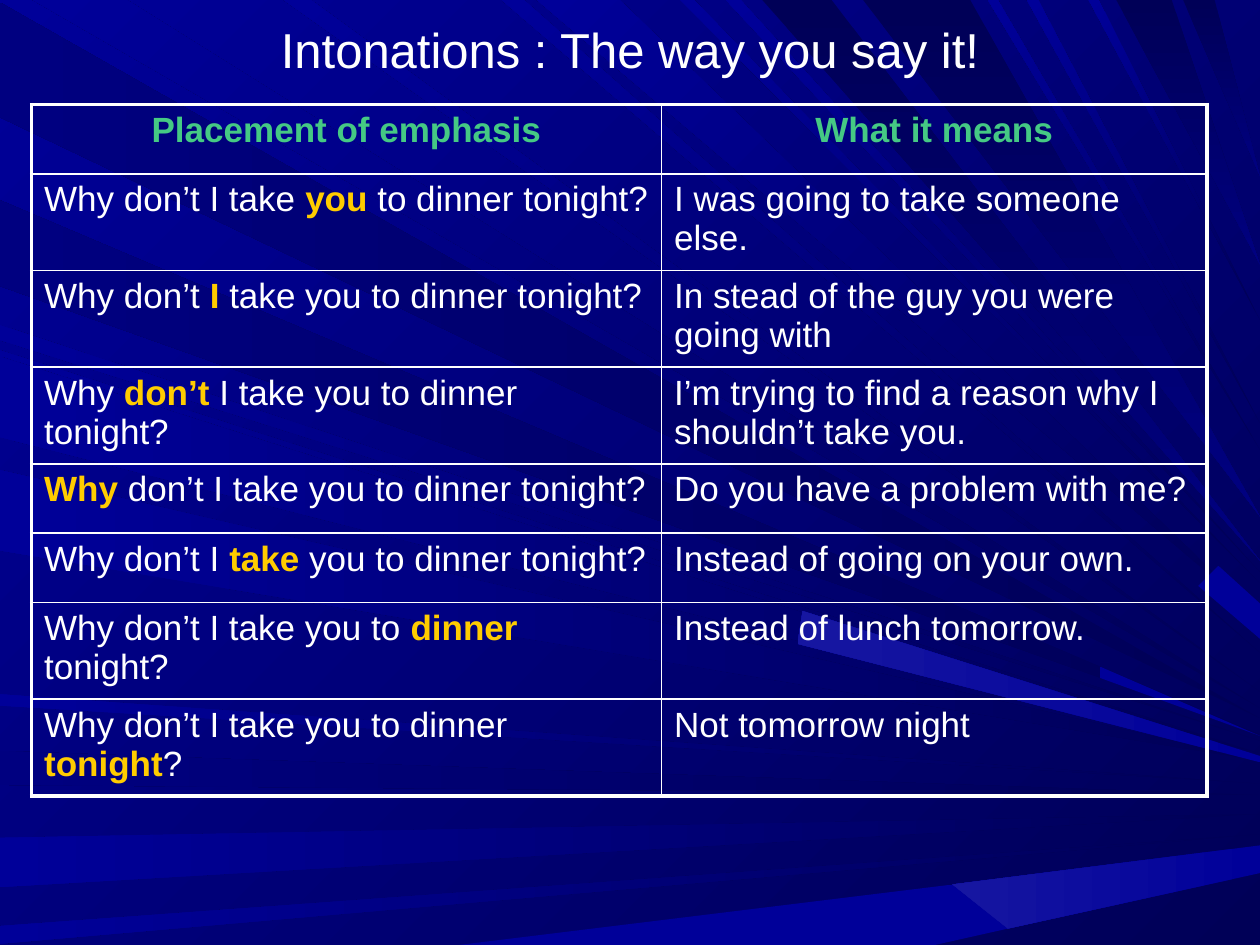
from dataclasses import dataclass

from lxml.etree import SubElement
from pptx import Presentation
from pptx.dml.color import RGBColor
from pptx.enum.text import MSO_ANCHOR, PP_ALIGN
from pptx.oxml.ns import qn
from pptx.util import Inches, Pt


@dataclass(frozen=True)
class Theme:
    font: str = "Arial"
    title_size: int = 28
    body_size: int = 20
    outer_line: float = 2.25
    inner_line: float = 1
    text: str = "FFFFFF"
    header: str = "45C984"
    emphasis: str = "FFCC00"
    glint: str = "1616A1"
    bright: str = "000099"
    middle: str = "000080"
    dark: str = "000057"


theme = Theme()


def write(tf, text, size=theme.body_size, color=theme.text, bold=False, align=PP_ALIGN.LEFT):
    """Write one paragraph; pieces between asterisks are emphasised."""
    p = tf.paragraphs[0]
    p.alignment = align
    for i, piece in enumerate(text.split("*")):
        if not piece:
            continue
        stressed = i % 2 == 1
        r = p.add_run()
        r.text = piece
        r.font.name = theme.font
        r.font.size = Pt(size)
        r.font.bold = bold or stressed
        r.font.color.rgb = RGBColor.from_string(theme.emphasis if stressed else color)


def paint(fill, start, end, angle):
    """Fill with a gradient at a clockwise angle."""
    fill.gradient()
    fill.gradient_angle = 360 - angle
    for stop, color in zip(fill.gradient_stops, (start, end)):
        stop.color.rgb = RGBColor.from_string(color)


prs = Presentation()
prs.slide_width, prs.slide_height = Inches(10), Inches(7.5)
s = prs.slides.add_slide(prs.slide_layouts[6])
paint(s.background.fill, theme.dark, theme.bright, 225)

# Background rays: each runs from a stretch of the left or top edge
# to one height on the right edge (from, to, height at the right)
left_dim = [(0.02, 0.93, 5.7), (5.96, 6.23, 6.31), (1.59, 2.27, 5.83)]
left_bright = [
    (6.65, 7.04, 6.46), (7.35, 7.49, 6.62), (2.58, 2.7, 5.88),
    (2.78, 3.42, 5.98), (3.73, 4.37, 6.04), (5.51, 5.6, 6.22), (2.83, 3.47, 6.02),
]
top_bright = [
    (0.26, 1.01, 5.62), (3.98, 4.16, 5.18), (4.26, 4.92, 4.9), (5.4, 5.51, 4.63),
    (2.25, 2.47, 5.49), (5.76, 5.88, 4.54), (7.84, 7.92, 3.57), (8.15, 8.24, 3.36),
    (8.64, 8.72, 2.54),
]
top_dim = [(6.05, 6.6, 4.45), (8.86, 9.3, 2.1), (9.39, 9.64, 1.4), (6.85, 7.7, 4.1)]
shapes = []
for rays, on_left, end, angle in (
    (left_dim, True, theme.middle, 180),
    (top_bright, False, theme.bright, 225),
    (top_dim, False, theme.middle, 90),
    (left_bright, True, theme.bright, 180),
):
    for a, b, tip in rays:
        base = [(0, a), (0, b)] if on_left else [(a, 0), (b, 0)]
        shapes.append((theme.dark, end, angle, base + [(10, tip)]))

# Lighter glints on the right
glints = [
    (theme.bright, [(3.64, 7.5), (7.56, 7.02), (8, 7.37), (7.42, 7.5)]),
    (theme.glint, [(7.56, 7.02), (10, 6.71), (10, 6.93), (8, 7.37)]),
    (theme.glint, [(6.37, 4.85), (10, 6), (10, 6.05), (6.33, 5.11)]),
    (theme.bright, [(9.67, 4.49), (10, 4.79), (10, 5.07), (9.51, 4.65)]),
    (theme.bright, [(8.73, 5.29), (10, 5.84), (8.73, 5.38)]),
]
shapes += [(theme.bright, end, 180, corners) for end, corners in glints]

for start, end, angle, corners in shapes:
    first, *others = [(Inches(x), Inches(y)) for x, y in corners]
    builder = s.shapes.build_freeform(*first)
    builder.add_line_segments(others, close=True)
    sp = builder.convert_to_shape()
    sp.shadow.inherit = False
    sp.line.fill.background()
    paint(sp.fill, start, end, angle)

# Title
title = s.shapes.add_textbox(Inches(0.5), Inches(0.08), Inches(9), Inches(0.61))
title.text_frame.word_wrap = True
title.text_frame.vertical_anchor = MSO_ANCHOR.MIDDLE
write(title.text_frame, "Intonations : The way you say it!", size=theme.title_size, align=PP_ALIGN.CENTER)

# Table
rows = [
    ("Placement of emphasis", "What it means"),
    ("Why don’t I take *you* to dinner tonight?", "I was going to take someone else."),
    ("Why don’t *I *take you to dinner tonight?", "In stead of the guy you were going with"),
    ("Why *don’t* I take you to dinner tonight?", "I’m trying to find a reason why I shouldn’t take you."),
    ("*Why* don’t I take you to dinner tonight?", "Do you have a problem with me?"),
    ("Why don’t I *take* you to dinner tonight?", "Instead of going on your own."),
    ("Why don’t I take you to *dinner* tonight?", "Instead of lunch tomorrow."),
    ("Why don’t I take you to dinner *tonight*?", "Not tomorrow night"),
]
one_line_rows = (0, 4, 5)
width, height = Inches(9.33), Inches(5.48)
short = Inches(0.55)
tall = (height - len(one_line_rows) * short) // (len(rows) - len(one_line_rows))
table = s.shapes.add_table(len(rows), 2, Inches(0.25), Inches(0.83), width, height).table
table.first_row = table.horz_banding = False
table.columns[0].width = Inches(5)
table.columns[1].width = width - Inches(5)

for i, texts in enumerate(rows):
    table.rows[i].height = short if i in one_line_rows else tall
    for j, text in enumerate(texts):
        cell = table.cell(i, j)
        tcPr = cell._tc.get_or_add_tcPr()
        on_outside = {"lnL": j == 0, "lnR": j == 1, "lnT": i == 0, "lnB": i == len(rows) - 1}
        for side, outer in on_outside.items():
            weight = theme.outer_line if outer else theme.inner_line
            ln = SubElement(tcPr, qn(f"a:{side}"), w=str(Pt(weight)))
            SubElement(SubElement(ln, qn("a:solidFill")), qn("a:srgbClr"), val=theme.text)
        cell.fill.background()
        cell.margin_left = cell.margin_right = Inches(0.1)
        cell.margin_top = cell.margin_bottom = Inches(0.05)
        if i == 0:
            write(cell.text_frame, text, color=theme.header, bold=True, align=PP_ALIGN.CENTER)
        else:
            write(cell.text_frame, text)

prs.save("out.pptx")
